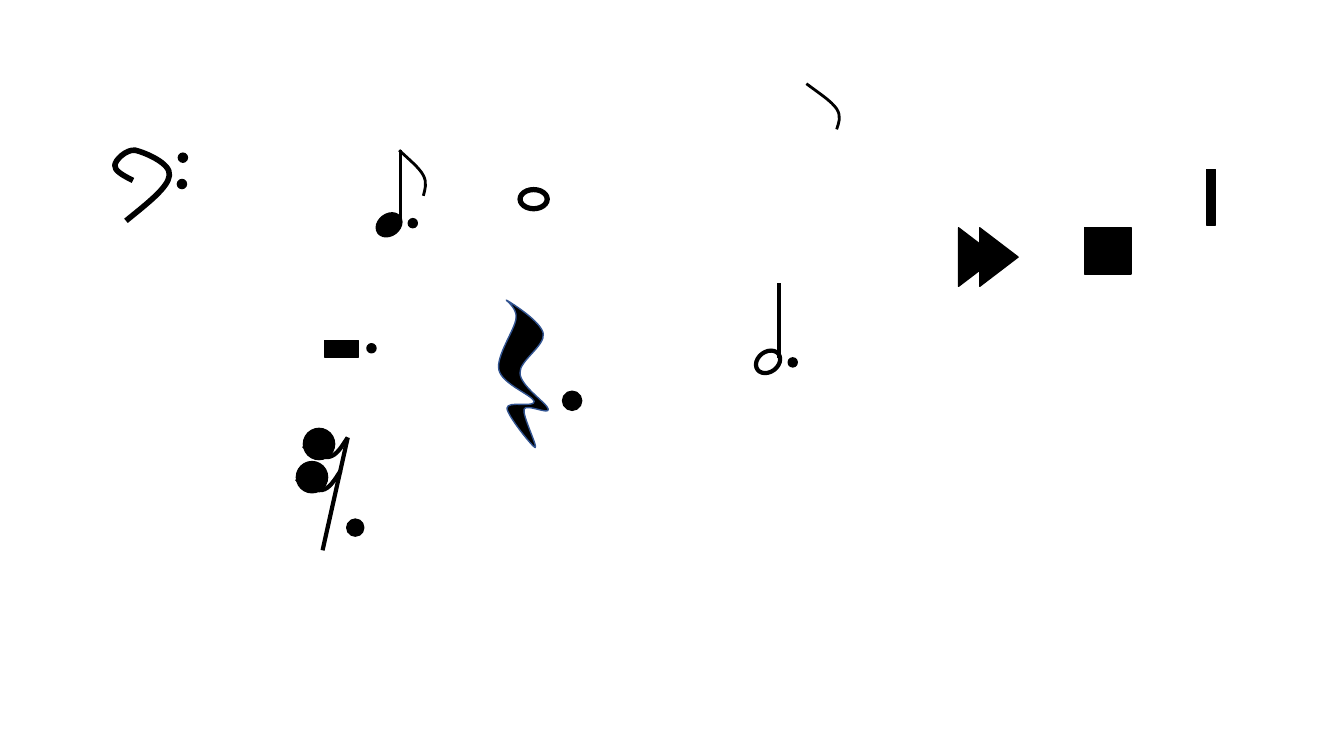
"""Draws a slide of music notes, rests and player signs."""
from lxml import etree
from pptx import Presentation
from pptx.dml.color import RGBColor
from pptx.enum.shapes import MSO_CONNECTOR, MSO_SHAPE
from pptx.oxml.ns import qn
from pptx.util import Pt

OVAL, RECT = MSO_SHAPE.OVAL, MSO_SHAPE.RECTANGLE
WEDGE = MSO_SHAPE.ISOSCELES_TRIANGLE
STRAIGHT = MSO_CONNECTOR.STRAIGHT
INK, EDGE = "000000", "325491"
DOT, TILT = 6.5, 323.1

CLEF = [(95, 128.9), (87.8, 125.3), (81.4, 121.7), (82.1, 118.1),
        (82.1, 114.5), (90, 106.6), (96.5, 107.3),
        (103, 108.7), (122.4, 116.6), (121, 125.3),
        (120.2, 133.9), (105.1, 145.4), (90, 157.7)]
FLAG = [(0, 0), (8.6, 6.5), (18, 12.5), (21.6, 18),
        (25.2, 23.4), (23, 28.4), (21.6, 32.6)]
HOOK = [(0, 0), (-4.3, 6.5), (-7.9, 13), (-13.5, 13.9),
        (-18.9, 14.6), (-25.2, 10.3), (-31.7, 5.8)]
REST = [(362.2, 214.6), (365.8, 216.7), (386.6, 229.7), (388.1, 238.3),
        (389.5, 247), (370.8, 257.8), (371.5, 266.4),
        (371.5, 275.8), (391, 288), (391.7, 292.3),
        (392.4, 296.6), (375.8, 288), (374.4, 292.3),
        (373, 296.6), (384.5, 319.7), (382.3, 319.7),
        (380.2, 319), (362.2, 296.6), (362.2, 291.6),
        (362.2, 285.8), (382.3, 291.6), (381.6, 286.6),
        (380.2, 282.2), (358.6, 274.3), (356.4, 264.2),
        (354.2, 254.2), (367.9, 235.4), (368.6, 227.5),
        (370.1, 219.6), (359.3, 213.1), (362.2, 214.6)]


def color(code):
    return RGBColor.from_string(code)


class Score:
    def __init__(self, slide, ink=INK):
        self.shapes = slide.shapes
        self.ink = ink

    def style(self, shape, width, fill=None, edge=None):
        shape.shadow.inherit = False
        if fill:
            shape.fill.solid()
            shape.fill.fore_color.rgb = color(fill)
        else:
            shape.fill.background()
        shape.line.color.rgb = color(edge or self.ink)
        shape.line.width = Pt(width)
        return shape

    def block(self, kind, x, y, w, h, turn=0, width=1, solid=True):
        shape = self.shapes.add_shape(kind, Pt(x), Pt(y), Pt(w), Pt(h))
        shape.rotation = turn
        return self.style(shape, width, self.ink if solid else None)

    def dot(self, x, y, size=DOT):
        return self.block(OVAL, x, y, size, size)

    def line(self, x1, y1, x2, y2, width):
        line = self.shapes.add_connector(
            STRAIGHT, Pt(x1), Pt(y1), Pt(x2), Pt(y2))
        line.line.color.rgb = color(self.ink)
        line.line.width = Pt(width)
        etree.SubElement(line._element.spPr, qn("a:effectLst"))

    def curve(self, points, width, x=0, y=0, wide=1, fill=None, edge=None):
        spots = [(Pt(x + px * wide), Pt(y + py)) for px, py in points]
        pen = self.shapes.build_freeform(*spots[0])
        pen.add_line_segments(spots[1:], close=bool(fill))
        shape = pen.convert_to_shape()
        steps = list(shape._element.iter(qn("a:lnTo")))
        for i in range(0, len(steps), 3):
            bend = etree.Element(qn("a:cubicBezTo"))
            steps[i].addprevious(bend)
            for step in steps[i:i + 3]:
                bend.append(step[0])
                step.getparent().remove(step)
        return self.style(shape, width, fill, edge)

    def note(self, x, y, foot, width, solid):
        self.block(OVAL, x, y, 18.7, 14.4, TILT, width, solid)
        self.line(x + 17.3, foot, x + 17.3, foot - 53.3, width)


deck = Presentation()
deck.slide_width, deck.slide_height = Pt(960), Pt(540)
score = Score(deck.slides.add_slide(deck.slide_layouts[6]))

clef = [score.curve(CLEF, 4), score.dot(127.4, 109.4),
        score.dot(126.7, 128.2)]
score.shapes.add_group_shape(clef)

score.note(268.6, 153.4, 160.6, 2, True)
score.block(OVAL, 371.5, 135.4, 19.4, 13.7, width=3.75, solid=False)
score.curve(FLAG, 2, 576, 59.8)
score.curve(FLAG, 2, 285.1, 107.3, wide=0.8)

score.block(RECT, 231.8, 243.4, 24.5, 11.5)
score.curve(REST, 1, fill=INK, edge=EDGE)
score.line(230.4, 393.1, 248.4, 312.5, 3)
for x, y in [(243.4, 336.2), (248.4, 312.5)]:
    score.dot(x - 31.7, y - 6.5, 22.3)
    score.curve(HOOK, 3, x, y)

score.note(539.3, 251.3, 255.6, 3, False)
for spot in [(291.6, 156.2), (262.1, 245.5), (563, 255.6),
             (401.8, 279.4, 13.7), (247.7, 370.8, 12.2)]:
    score.dot(*spot)

for x in (677.5, 692.6):
    score.block(WEDGE, x, 169.9, 41.8, 27.4, 90)
score.block(RECT, 774.7, 162.7, 33.1, 33.1)
score.block(RECT, 861.8, 121, 6.5, 39.6)

deck.save("out.pptx")
